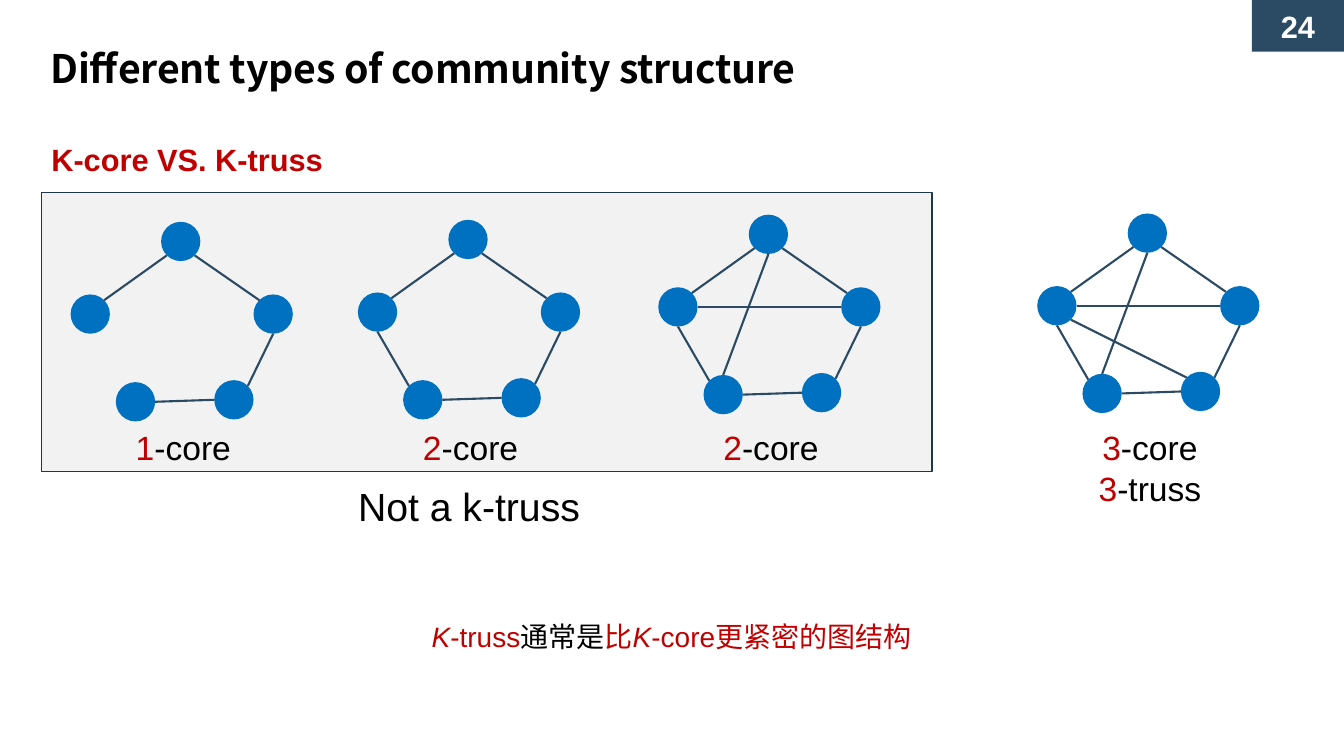
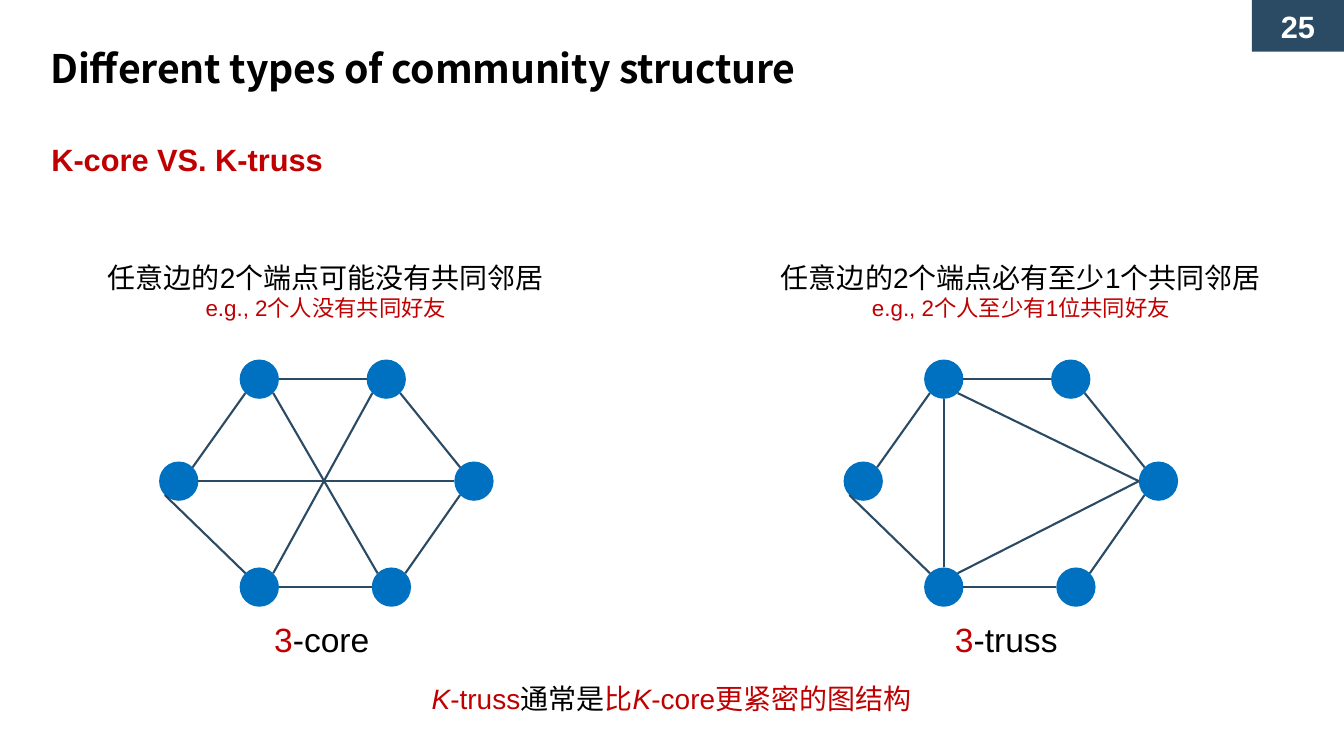
"""Build two slides that compare k-core and k-truss graphs."""
from math import cos, radians, sin

from lxml.etree import SubElement
from pptx import Presentation
from pptx.dml.color import RGBColor
from pptx.enum.shapes import MSO_CONNECTOR, MSO_SHAPE
from pptx.enum.text import MSO_ANCHOR, MSO_AUTO_SIZE as AutoSize, PP_ALIGN
from pptx.oxml.ns import qn
from pptx.util import Cm, Pt

COLORS = {
    "black": "000000",
    "white": "FFFFFF",
    "red": "C00000",
    "navy": "2B4A63",
    "node": "0070C0",
    "panel": "F2F2F2",
    "border": "203749",
}
BODY_FONT = "Arial"
TITLE_FONT = "Noto Sans CJK SC"
NODE_SIZE = 0.99
LABEL_WIDTH = 5.59

PENTAGON = {
    "top": (2.28, 0),
    "left": (0, 1.83),
    "low_left": (1.14, 4.04),
    "low_right": (3.62, 3.99),
    "right": (4.61, 1.83),
}
HEXAGON = {
    "up_left": (2.03, -2.57),
    "up_right": (5.23, -2.57),
    "right": (7.44, 0),
    "left": (0, 0),
    "low_left": (2.03, 2.67),
    "low_right": (5.36, 2.67),
}

PATH = [
    ("left", 7, "top", 3),
    ("right", 1, "top", 5),
    ("right", 4, "low_right", 7),
    ("low_left", 6, "low_right", 2),
]
CYCLE = PATH + [("left", 4, "low_left", 1)]
CHORDED = CYCLE + [("low_left", 0, "top", 4), ("right", 2, "left", 6)]
DENSE = CHORDED + [("left", 5, "low_right", 1)]
RING = [
    ("up_left", 3, "left", 7),
    ("up_right", 2, "up_left", 6),
    ("right", 1, "up_right", 5),
    ("low_left", 1, "left", 3),
    ("low_right", 2, "low_left", 6),
    ("right", 3, "low_right", 7),
]
DIAGONALS = RING + [
    ("low_right", 1, "up_left", 5),
    ("low_left", 7, "up_right", 3),
    ("left", 6, "right", 2),
]
TRIANGLE = RING + [
    ("right", 2, "up_left", 5),
    ("low_left", 0, "up_left", 4),
    ("low_left", 7, "right", 2),
]


def rgb(name):
    return RGBColor.from_string(COLORS[name])


def site_point(corner, site):
    """Return the place of one of a node's eight sites, counted from the top to the left."""
    radius = NODE_SIZE / 2
    angle = radians(90 + 45 * site)
    return (Cm(corner[0] + radius + radius * cos(angle)),
            Cm(corner[1] + radius - radius * sin(angle)))


class Deck:
    """Hold the style and the slide being drawn."""

    def __init__(self):
        self.prs = Presentation()
        self.prs.slide_width = Cm(33.87)
        self.prs.slide_height = Cm(19.05)
        self.slide = None

    def style(self, run, size, color, font=BODY_FONT, bold=False, italic=False):
        run.font.name = font
        run.font.size = Pt(size)
        run.font.bold = bold
        run.font.italic = italic
        run.font.color.rgb = rgb(color)

    def place(self, shape, left, top, width, height):
        shape.left, shape.top = Cm(left), Cm(top)
        shape.width, shape.height = Cm(width), Cm(height)

    def start(self, number, title, topic):
        self.slide = self.prs.slides.add_slide(self.prs.slide_layouts[1])
        self.heading(title)
        self.topic(topic)
        band = self.block(MSO_SHAPE.RECTANGLE, 31.55, 0, 2.32, 1.3, "navy")
        frame = band.text_frame
        frame.vertical_anchor = MSO_ANCHOR.MIDDLE
        frame.text = str(number)
        frame.paragraphs[0].alignment = PP_ALIGN.CENTER
        self.style(frame.paragraphs[0].runs[0], 22, "white", bold=True)

    def heading(self, text):
        heading = self.slide.shapes.title
        self.place(heading, 1.27, 1.07, 21.92, 1.22)
        frame = heading.text_frame
        frame.margin_left = frame.margin_right = frame.margin_bottom = 0
        frame.margin_top = Cm(0.05)
        frame.vertical_anchor = MSO_ANCHOR.TOP
        frame.auto_size = AutoSize.NONE
        frame.text = text
        frame.paragraphs[0].alignment = PP_ALIGN.LEFT
        run = frame.paragraphs[0].runs[0]
        self.style(run, 28, "black", font=TITLE_FONT, bold=True)
        run._r.get_or_add_rPr().set("spc", "-10")

    def topic(self, text):
        topic = self.slide.placeholders[1]
        self.place(topic, 1.04, 3.43, 30.38, 1.19)
        frame = topic.text_frame
        frame.auto_size = AutoSize.NONE
        frame.text = text
        paragraph = frame.paragraphs[0]
        paragraph.space_before = Pt(0)
        props = paragraph._p.get_or_add_pPr()
        props.set("marL", "0")
        props.set("indent", "0")
        SubElement(props, qn("a:buNone"))
        self.style(paragraph.runs[0], 22, "red", bold=True)

    def block(self, kind, left, top, width, height, fill, border=None):
        block = self.slide.shapes.add_shape(kind, Cm(left), Cm(top), Cm(width), Cm(height))
        block.shadow.inherit = False
        block.fill.solid()
        block.fill.fore_color.rgb = rgb(fill)
        if border:
            block.line.color.rgb = rgb(border)
            block.line.width = Pt(1)
        else:
            block.line.fill.background()
        return block

    def text(self, left, top, width, height, lines):
        """Write centred lines, each a size and a list of (words, colour, italic) parts."""
        box = self.slide.shapes.add_textbox(Cm(left), Cm(top), Cm(width), Cm(height))
        frame = box.text_frame
        frame.word_wrap = True
        frame.auto_size = AutoSize.SHAPE_TO_FIT_TEXT
        for index, (size, parts) in enumerate(lines):
            paragraph = frame.add_paragraph() if index else frame.paragraphs[0]
            paragraph.alignment = PP_ALIGN.CENTER
            for words, color, italic in parts:
                run = paragraph.add_run()
                run.text = words
                self.style(run, size, color, italic=italic)

    def label(self, center, top, *names):
        lines = [(24, [(name[0], "red", False), (name[1:], "black", False)]) for name in names]
        self.text(center - LABEL_WIDTH / 2, top, LABEL_WIDTH, 1.1 * len(names), lines)

    def caption(self, left, top, width, statement, example):
        self.text(left, top, width, 1.8, [(20, [(statement, "black", False)]),
                                          (16, [(example, "red", False)])])

    def conclusion(self, top):
        self.text(10.08, top, 13.69, 1.12, [(20, [
            ("K", "red", True), ("-truss", "red", False), ("通常是", "black", False),
            ("比", "red", False), ("K", "red", True), ("-core更紧密的图结构", "red", False)])])

    def edge(self, start, end):
        """Join two (node, corner, site) ends with a glued line."""
        points = [site_point(corner, site) for _, corner, site in (start, end)]
        edge = self.slide.shapes.add_connector(MSO_CONNECTOR.STRAIGHT, *points[0], *points[1])
        edge.line.color.rgb = rgb("navy")
        edge.line.width = Pt(1.5)
        SubElement(edge._element.spPr, qn("a:effectLst"))
        glue = edge._element.find(".//" + qn("p:cNvCxnSpPr"))
        for tag, (node, _, site) in (("a:stCxn", start), ("a:endCxn", end)):
            SubElement(glue, qn(tag), id=str(node.shape_id), idx=str(site))

    def graph(self, left, top, layout, edges):
        corners = {name: (left + x, top + y) for name, (x, y) in layout.items()}
        nodes = {name: self.block(MSO_SHAPE.OVAL, *corner, NODE_SIZE, NODE_SIZE, "node")
                 for name, corner in corners.items()}
        for first, first_site, last, last_site in edges:
            self.edge((nodes[first], corners[first], first_site),
                      (nodes[last], corners[last], last_site))


def main():
    deck = Deck()
    title, topic = "Different types of community structure", "K-core VS. K-truss"

    deck.start(24, title, topic)
    deck.block(MSO_SHAPE.RECTANGLE, 1.04, 4.85, 22.45, 7.04, "panel", "border")
    for left, top, edges, names in (
        (1.78, 5.59, PATH, ["1-core"]),
        (9.02, 5.54, CYCLE, ["2-core"]),
        (16.59, 5.41, CHORDED, ["2-core"]),
        (26.14, 5.38, DENSE, ["3-core", "3-truss"]),
    ):
        deck.graph(left, top, PENTAGON, edges)
        deck.label(left + 2.84, 10.64, *names)
    deck.text(6.22, 12.04, 11.2, 1.45, [(28, [("Not a k-truss", "black", False)])])
    deck.conclusion(15.49)

    deck.start(25, title, topic)
    for left, edges, name in ((4.01, DIAGONALS, "3-core"), (21.26, TRIANGLE, "3-truss")):
        deck.graph(left, 11.63, HEXAGON, edges)
        deck.label(left + 4.1, 15.47, name)
    deck.caption(2.41, 6.45, 11.61, "任意边的2个端点可能没有共同邻居", "e.g., 2个人没有共同好友")
    deck.caption(19.38, 6.43, 12.7, "任意边的2个端点必有至少1个共同邻居", "e.g., 2个人至少有1位共同好友")
    deck.conclusion(17.04)

    deck.prs.save("out.pptx")


if __name__ == "__main__":
    main()
